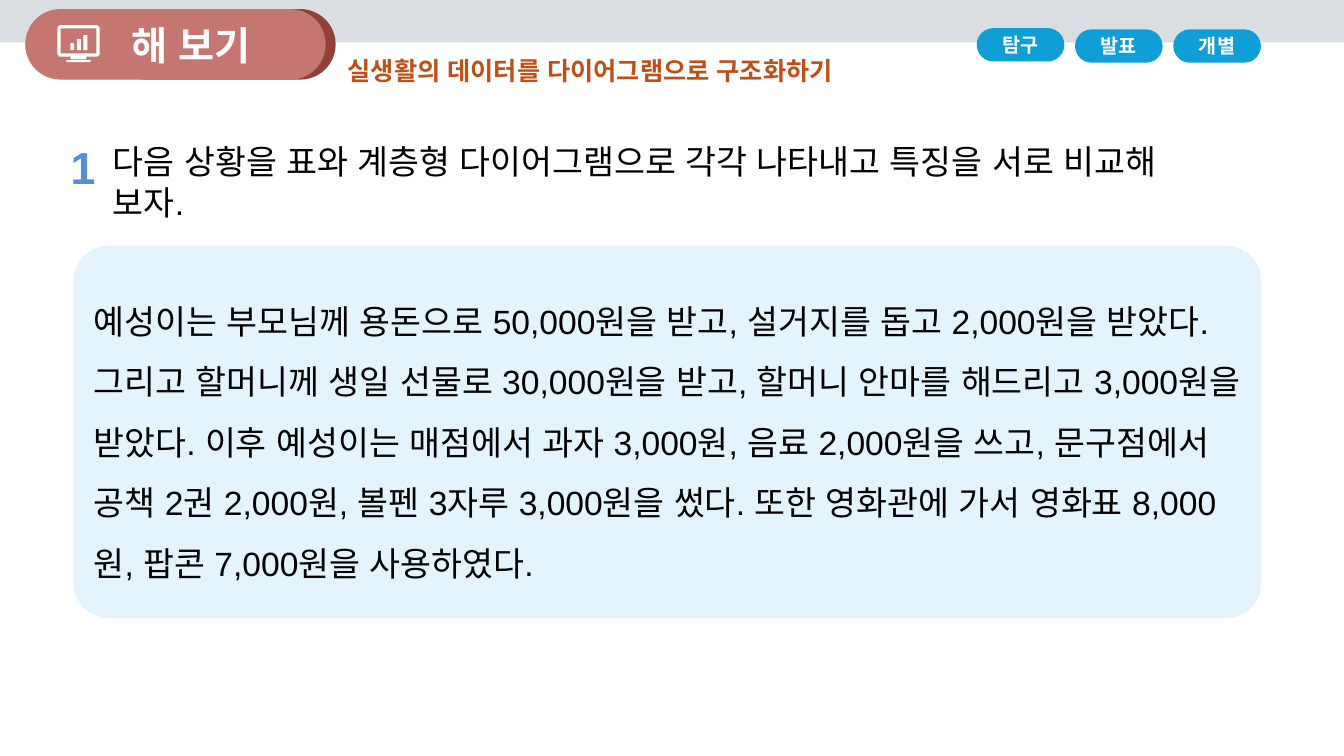
from pptx import Presentation
from pptx.dml.color import RGBColor
from pptx.enum.lang import MSO_LANGUAGE_ID
from pptx.enum.shapes import MSO_SHAPE
from pptx.enum.text import MSO_ANCHOR, MSO_AUTO_SIZE, PP_ALIGN
from pptx.util import Pt

RECT, ROUND = MSO_SHAPE.RECTANGLE, MSO_SHAPE.ROUNDED_RECTANGLE
TOP, MIDDLE = MSO_ANCHOR.TOP, MSO_ANCHOR.MIDDLE
LEFT, CENTER = PP_ALIGN.LEFT, PP_ALIGN.CENTER
NO_FIT = MSO_AUTO_SIZE.NONE
KOREAN = MSO_LANGUAGE_ID.KOREAN

FONT = "Arial"
WHITE, BLACK, BAND_GRAY = "FFFFFF", "000000", "DADEE2"
BADGE, BADGE_EDGE = "C67670", "92403A"
TAG_BLUE, NUMBER_BLUE, STORY_BLUE = "0F9ED5", "558ED5", "E3F4FD"
HEADING_ORANGE = "C04F15"

HEADING = "실생활의 데이터를 다이어그램으로 구조화하기"
QUESTION = "다음 상황을 표와 계층형 다이어그램으로 각각 나타내고 특징을 서로 비교해 보자."
STORY = (
    "예성이는 부모님께 용돈으로 50,000원을 받고, 설거지를 돕고 2,000원을 받았다. "
    "그리고 할머니께 생일 선물로 30,000원을 받고, 할머니 안마를 해드리고 3,000원을 받았다. "
    "이후 예성이는 매점에서 과자 3,000원, 음료 2,000원을 쓰고, "
    "문구점에서 공책 2권 2,000원, 볼펜 3자루 3,000원을 썼다. "
    "또한 영화관에 가서 영화표 8,000원, 팝콘 7,000원을 사용하였다."
)


def rgb(color):
    """Turn a hex string into a colour."""
    return RGBColor.from_string(color)


def paint(shape, color):
    """Give a shape a plain fill without line or shadow."""
    shape.shadow.inherit = False
    shape.fill.solid()
    shape.fill.fore_color.rgb = rgb(color)
    shape.line.fill.background()


def add_block(slide, kind, box, color, corner=0.5):
    """Add a plain preset shape."""
    block = slide.shapes.add_shape(kind, *map(Pt, box))
    if kind == ROUND:
        block.adjustments[0] = corner
    paint(block, color)
    return block


def write(shape, text, size, color, bold=False, align=LEFT, anchor=TOP,
          spacing=1.0, insets=(7.2, 3.6, 7.2, 3.6)):
    """Write one formatted paragraph into a shape."""
    frame = shape.text_frame
    frame.word_wrap = True
    frame.auto_size = NO_FIT
    frame.vertical_anchor = anchor
    frame.margin_left, frame.margin_top, frame.margin_right, frame.margin_bottom = map(Pt, insets)
    paragraph = frame.paragraphs[0]
    paragraph.alignment = align
    paragraph.line_spacing = spacing
    paragraph.space_before = Pt(0)
    run = paragraph.add_run()
    run.text = text
    font = run.font
    font.name, font.size, font.bold = FONT, Pt(size), bold
    font.color.rgb = rgb(color)
    font.language_id = KOREAN
    return run


def add_heading(slide, left, top, width, height):
    """Place the slide title beside the badge."""
    title = slide.shapes.title
    title.left, title.top, title.width, title.height = map(Pt, (left, top, width, height))
    write(title, HEADING, 18, HEADING_ORANGE, bold=True)


def add_chart_screen(slide, left, top, width, height):
    """Draw a screen with three bars on a stand."""
    right, bottom = left + width, top + height - 2
    rim, cut, foot = 2.4, 1.6, 9.4
    outer = [(left + cut, top), (right - cut, top), (right, top + cut),
             (right, bottom - cut), (right - cut, bottom), (right - foot, bottom),
             (right - foot, bottom + 2), (left + foot, bottom + 2),
             (left + foot, bottom), (left + cut, bottom), (left, bottom - cut),
             (left, top + cut)]
    inner = [(left + rim, top + rim), (left + rim, bottom - rim),
             (right - rim, bottom - rim), (right - rim, top + rim)]
    builder = slide.shapes.build_freeform(*map(Pt, outer[0]))
    builder.add_line_segments([tuple(map(Pt, point)) for point in outer[1:]])
    builder.move_to(*map(Pt, inner[0]))
    builder.add_line_segments([tuple(map(Pt, point)) for point in inner[1:]])
    paint(builder.convert_to_shape(), WHITE)
    add_block(slide, RECT, (left + 6.5, top + height + 0.5, 17.3, 1.4), WHITE)
    for index, bar in enumerate((5.2, 7.9, 10.6)):
        add_block(slide, RECT, (left + 9.2 + 4.7 * index, bottom - 4.7 - bar, 2.8, bar), WHITE)


def add_badge(slide, left, top, width, height):
    """Draw the activity badge with its icon and label."""
    add_block(slide, ROUND, (left + 60.5, top, width - 60.5, height), BADGE_EDGE)
    add_block(slide, ROUND, (left, top, width - 7.2, height), BADGE)
    label = slide.shapes.add_textbox(*map(Pt, (left + 53.3, top + 5, 131, 41)))
    write(label, "해 보기", 28, WHITE, bold=True, align=CENTER)
    add_chart_screen(slide, left + 23, top + 11.5, 30.2, 24.5)


def add_tags(slide, left, top, width, height):
    """Spread the activity tags evenly over the box."""
    tag_width = 62.6
    tags = (("탐구", 0), ("발표", 0.9), ("개별", 0.9))
    step = (width - tag_width) / (len(tags) - 1)
    for index, (name, drop) in enumerate(tags):
        tag = add_block(slide, ROUND, (left + step * index, top + drop, tag_width, height), TAG_BLUE)
        write(tag, name, 14, WHITE, bold=True, align=CENTER, anchor=MIDDLE)


def add_question(slide, left, top, width, height):
    """Place the numbered question."""
    question = slide.shapes.add_textbox(*map(Pt, (left + 24.5, top + 5.8, width - 24.5, height - 5.8)))
    write(question, QUESTION, 24, BLACK, insets=(5.8, 2.9, 0, 2.9))
    number = slide.shapes.add_textbox(*map(Pt, (left, top, 30.2, 42.5)))
    run = write(number, "1", 32, NUMBER_BLUE, bold=True, spacing=1.2, insets=(0, 0, 0, 0))
    run.font._element.set("spc", "-150")


def add_story(slide, left, top, width, height):
    """Place the situation in its rounded panel."""
    panel = add_block(slide, ROUND, (left, top, width, height), STORY_BLUE, corner=0.093)
    write(panel, STORY, 24, BLACK, anchor=MIDDLE, spacing=1.5)


def main():
    """Build the slide and save it."""
    deck = Presentation()
    deck.slide_width, deck.slide_height = Pt(960), Pt(540)
    slide = deck.slides.add_slide(deck.slide_layouts.get_by_name("Title Only"))
    add_block(slide, RECT, (0, -1.4, 960, 31.7), BAND_GRAY)
    add_badge(slide, 18, 6.5, 221.8, 50.4)
    add_heading(slide, 241.2, 36, 480.2, 28.8)
    add_tags(slide, 697.7, 20.1, 203, 23.8)
    add_question(slide, 50.4, 92.2, 825.8, 69.8)
    add_story(slide, 52.6, 175.7, 848.2, 265.7)
    deck.save("out.pptx")


if __name__ == "__main__":
    main()
